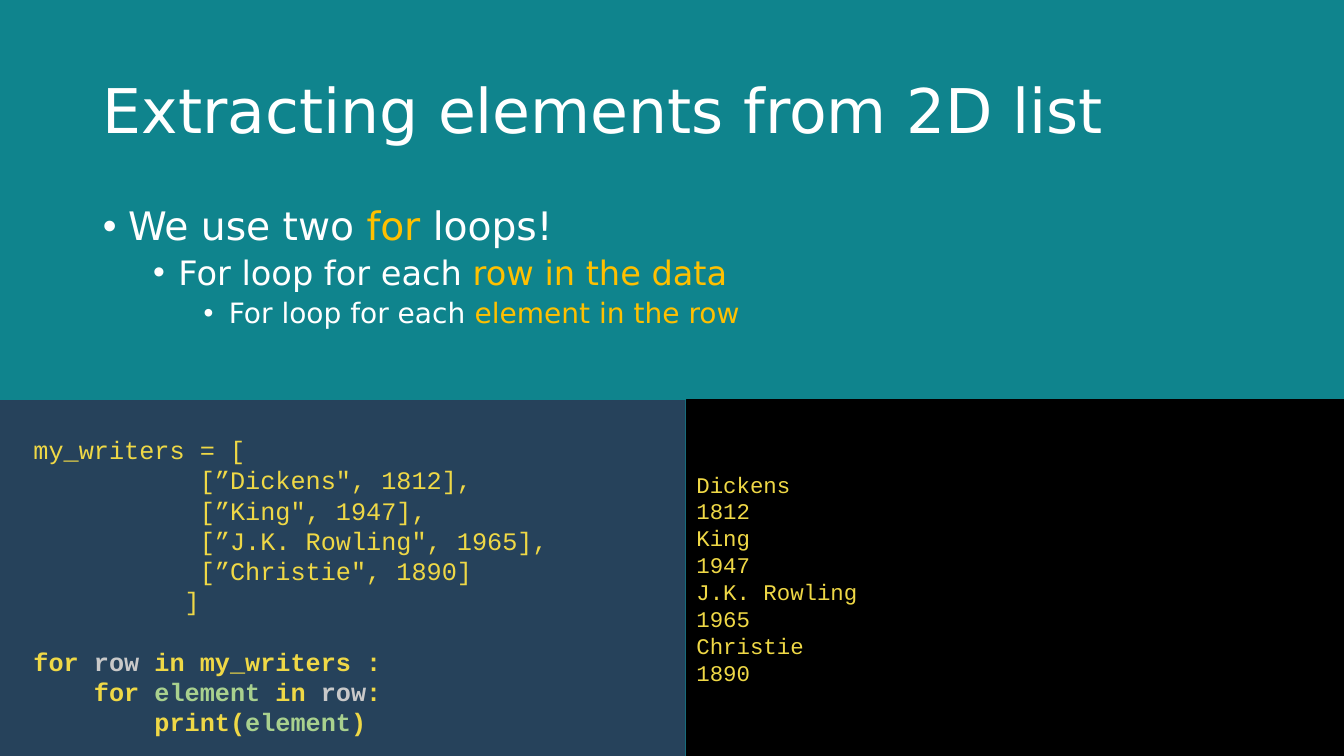
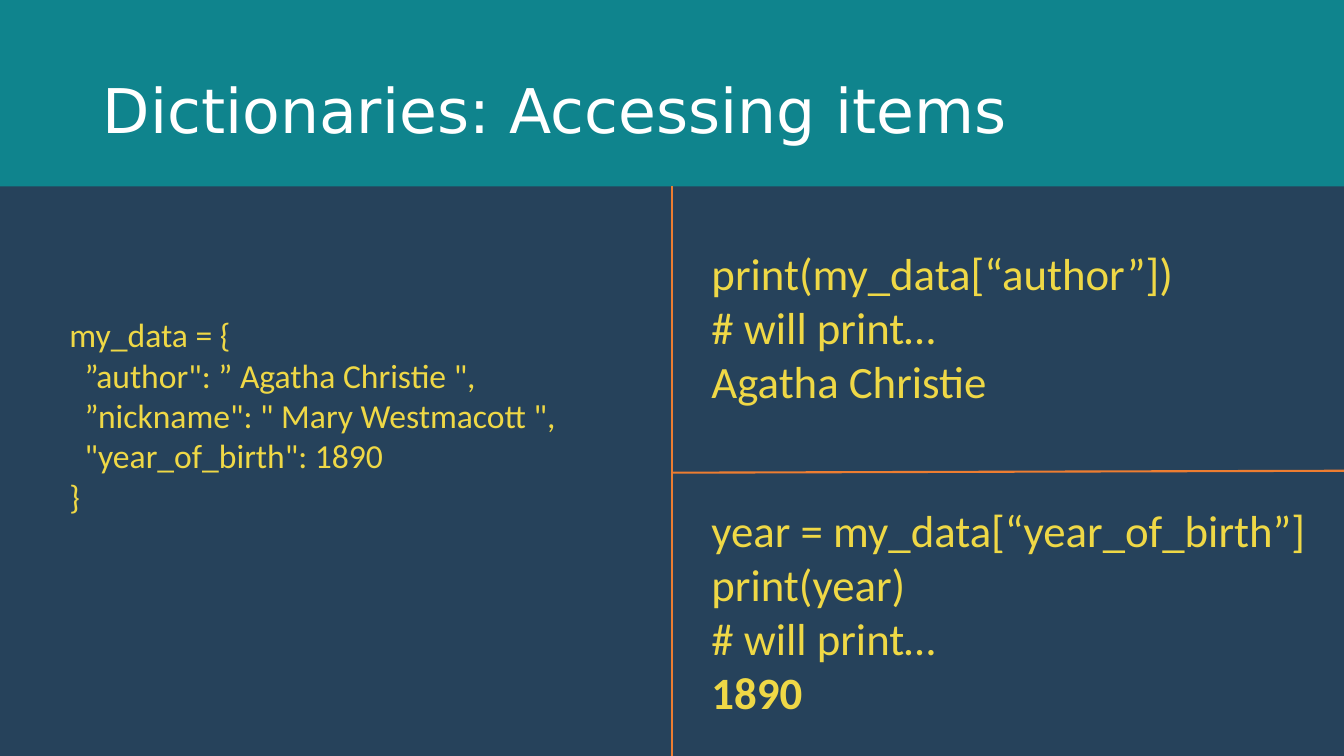
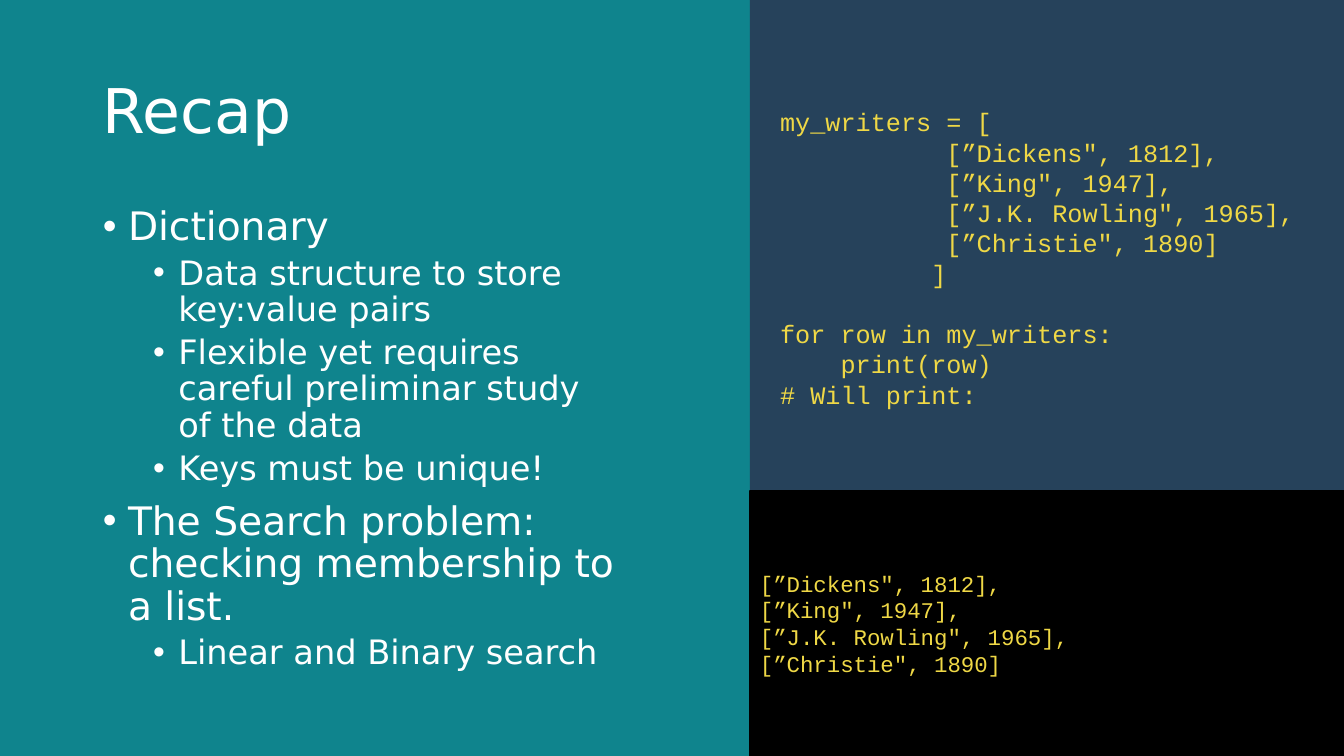
from lxml.etree import SubElement
from pptx import Presentation
from pptx.dml.color import RGBColor
from pptx.enum.shapes import MSO_CONNECTOR as CONN, MSO_SHAPE as SHAPE
from pptx.enum.text import MSO_ANCHOR as ANCHOR, MSO_AUTO_SIZE as AUTO, PP_ALIGN as ALIGN
from pptx.oxml.ns import qn
from pptx.util import Inches, Pt

TEAL = RGBColor(0x0F, 0x84, 0x8D)
NAVY = RGBColor(0x26, 0x42, 0x5B)
BLACK = RGBColor(0, 0, 0)
WHITE = RGBColor(0xFF, 0xFF, 0xFF)
AMBER = RGBColor(0xFF, 0xC0, 0x00)
YELLOW = RGBColor(0xEF, 0xD8, 0x46)
ORANGE = RGBColor(0xED, 0x7D, 0x31)
GREY = RGBColor(0xC9, 0xC9, 0xC9)
GREEN = RGBColor(0xA9, 0xD1, 0x8E)

SANS, MONO, PLAIN = "DejaVu Sans", "Courier New", "Calibri"
BULLET_SIZES = (28, 24, 20)
MARKS = {"row": GREY, "element": GREEN}

ROWS = [
    '[”Dickens", 1812],',
    '[”King", 1947],',
    '[”J.K. Rowling", 1965],',
    '[”Christie", 1890]',
]
WRITERS = ["my_writers = [", *(" " * 11 + row for row in ROWS), " " * 10 + "]"]


class Deck:
    def __init__(self):
        self.prs = Presentation()
        self.prs.slide_width = Inches(13.33)
        self.prs.slide_height = Inches(7.5)
        fill = self.prs.slide_master.background.fill
        fill.solid()
        fill.fore_color.rgb = TEAL
        self.s = None

    def x(self, share):
        return round(self.prs.slide_width * share / 100)

    def y(self, share):
        return round(self.prs.slide_height * share / 100)

    def area(self, left, top, width, height):
        return self.x(left), self.y(top), self.x(width), self.y(height)

    def place(self, sp, *area):
        sp.left, sp.top, sp.width, sp.height = self.area(*area)

    def add_text(self, p, text, size, font, color, bold=False):
        for i, part in enumerate(text.split("~")):
            if part:
                r = p.add_run()
                r.text = part
                r.font.size, r.font.name, r.font.bold = Pt(size), font, bold
                r.font.color.rgb = MARKS.get(part, AMBER) if i % 2 else color

    def paragraphs(self, tf, count):
        return [tf.paragraphs[0], *(tf.add_paragraph() for _ in range(count - 1))]

    def slide(self, title, layout=1):
        self.s = self.prs.slides.add_slide(self.prs.slide_layouts[layout])
        sp = self.s.shapes.title
        self.place(sp, 6.9, 5.33, 86.25, 19.33)
        tf = sp.text_frame
        tf.auto_size, tf.vertical_anchor = AUTO.NONE, ANCHOR.MIDDLE
        p = tf.paragraphs[0]
        p.alignment, p.line_spacing = ALIGN.LEFT, 0.9
        self.add_text(p, title, 44, SANS, WHITE)

    def bullets(self, width, items):
        sp = self.s.placeholders[1]
        self.place(sp, 6.9, 26.67, width, 63.47)
        tf = sp.text_frame
        tf.auto_size, tf.vertical_anchor = AUTO.NONE, ANCHOR.TOP
        for i, (p, (level, text)) in enumerate(zip(self.paragraphs(tf, len(items)), items)):
            p.level = level
            pPr = p._p.get_or_add_pPr()
            pPr.set("marL", str(Inches(0.25 + 0.5 * level)))
            pPr.set("indent", str(-Inches(0.25)))
            SubElement(SubElement(pPr, qn("a:buClr")), qn("a:srgbClr")).set("val", str(WHITE))
            SubElement(pPr, qn("a:buFont")).set("typeface", "Arial")
            SubElement(pPr, qn("a:buChar")).set("char", "•")
            p.line_spacing = 0.9
            p.space_before = Pt(0 if i == 0 else 5 if level else 10)
            self.add_text(p, text, BULLET_SIZES[level], SANS, WHITE)

    def panel(self, area, color=NAVY):
        sp = self.s.shapes.add_shape(SHAPE.RECTANGLE, *self.area(*area))
        sp.shadow.inherit = False
        sp.fill.solid()
        sp.fill.fore_color.rgb = color
        sp.line.fill.background()
        return sp

    def code(self, area, lines, size=18, font=MONO, gap_at=None, bold_from=None):
        tf = self.s.shapes.add_textbox(*self.area(*area)).text_frame
        tf.word_wrap = True
        for i, (p, line) in enumerate(zip(self.paragraphs(tf, len(lines)), lines)):
            if i == gap_at:
                p.space_before = Pt(1.2 * size)
            self.add_text(p, line, size, font, YELLOW, bold_from is not None and i >= bold_from)

    def console(self, area, lines):
        sp = self.panel(area, BLACK)
        sp.line.color.rgb, sp.line.width = BLACK, Pt(1)
        tf = sp.text_frame
        tf.word_wrap, tf.vertical_anchor = True, ANCHOR.MIDDLE
        for p, line in zip(self.paragraphs(tf, len(lines)), lines):
            p.alignment = ALIGN.LEFT
            self.add_text(p, line, 16, MONO, YELLOW)

    def rule(self, x1, y1, x2, y2):
        ln = self.s.shapes.add_connector(
            CONN.STRAIGHT, self.x(x1), self.y(y1), self.x(x2), self.y(y2))
        ln.line.color.rgb, ln.line.width = ORANGE, Pt(1.5)
        SubElement(ln._element.spPr, qn("a:effectLst"))


def extracting(deck):
    deck.slide("Extracting elements from 2D list")
    deck.bullets(86.25, [
        (0, "We use two ~for~ loops!"),
        (1, "For loop for each ~row in the data~"),
        (2, "For loop for each ~element in the row~"),
    ])
    deck.panel((0, 52.93, 51, 47.07))
    deck.code((1.75, 56.8, 47.6, 41.33), WRITERS + [
        "for ~row~ in my_writers :",
        "    for ~element~ in ~row~:",
        "        print(~element~)",
    ], gap_at=6, bold_from=6)
    deck.console((51.08, 52.93, 48.92, 47.07), [
        "Dickens", "1812", "King", "1947", "J.K. Rowling", "1965", "Christie", "1890"])


def accessing(deck):
    deck.slide("Dictionaries: Accessing items", layout=5)
    deck.panel((0, 24.67, 100, 75.33))
    deck.code((4.43, 40.93, 41.63, 28), [
        "my_data = {",
        '  ”author": ” Agatha Christie ",',
        '  ”nickname": " Mary Westmacott ",',
        '  "year_of_birth": 1890',
        "}",
    ], 24, PLAIN)
    deck.code((52.2, 31.87, 40.88, 22.67), [
        "print(my_data[“author”])", "# will print…", "Agatha Christie"], 32, PLAIN)
    deck.code((52.2, 65.87, 47.8, 29.73), [
        "year = my_data[“year_of_birth”]", "print(year)", "# will print…", "1890",
    ], 32, PLAIN, bold_from=3)
    deck.rule(50, 62.53, 100, 62.27)
    deck.rule(50, 100, 50, 24.67)


def recap(deck):
    deck.slide("Recap")
    deck.bullets(40.05, [
        (0, "Dictionary"),
        (1, "Data structure to store key:value pairs"),
        (1, "Flexible yet requires careful preliminar study of the data"),
        (1, "Keys must be unique!"),
        (0, "The Search problem: checking membership to a list."),
        (1, "Linear and Binary search"),
    ])
    deck.panel((55.8, 0, 44.2, 64.8))
    deck.code((57.3, 13.47, 41.18, 41.33), WRITERS + [
        "for row in my_writers:", "    print(row)", "# Will print:"], gap_at=6)
    deck.console((55.8, 64.93, 44.2, 35.07), ROWS)


def main():
    deck = Deck()
    for build in (extracting, accessing, recap):
        build(deck)
    deck.prs.save("out.pptx")


if __name__ == "__main__":
    main()
